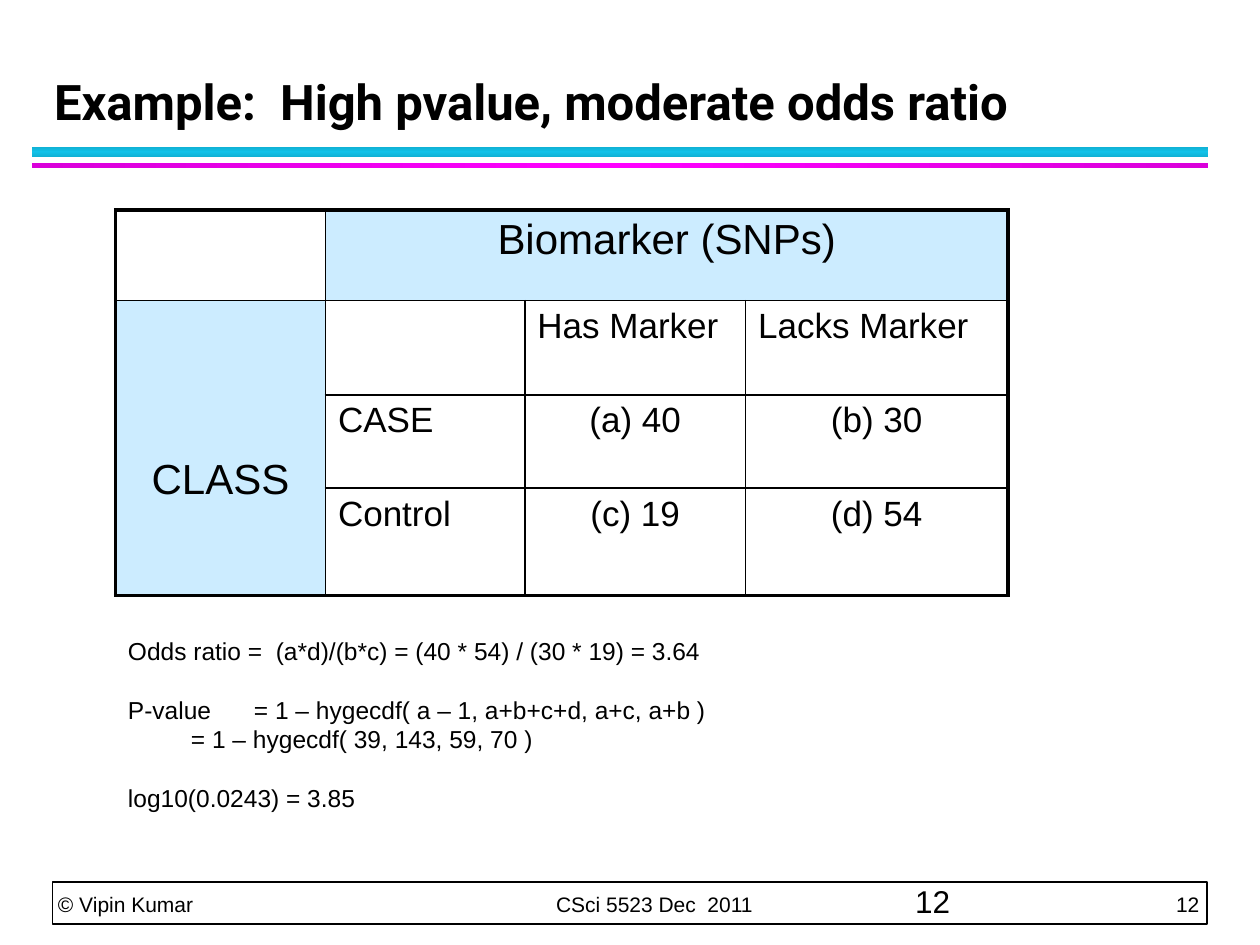
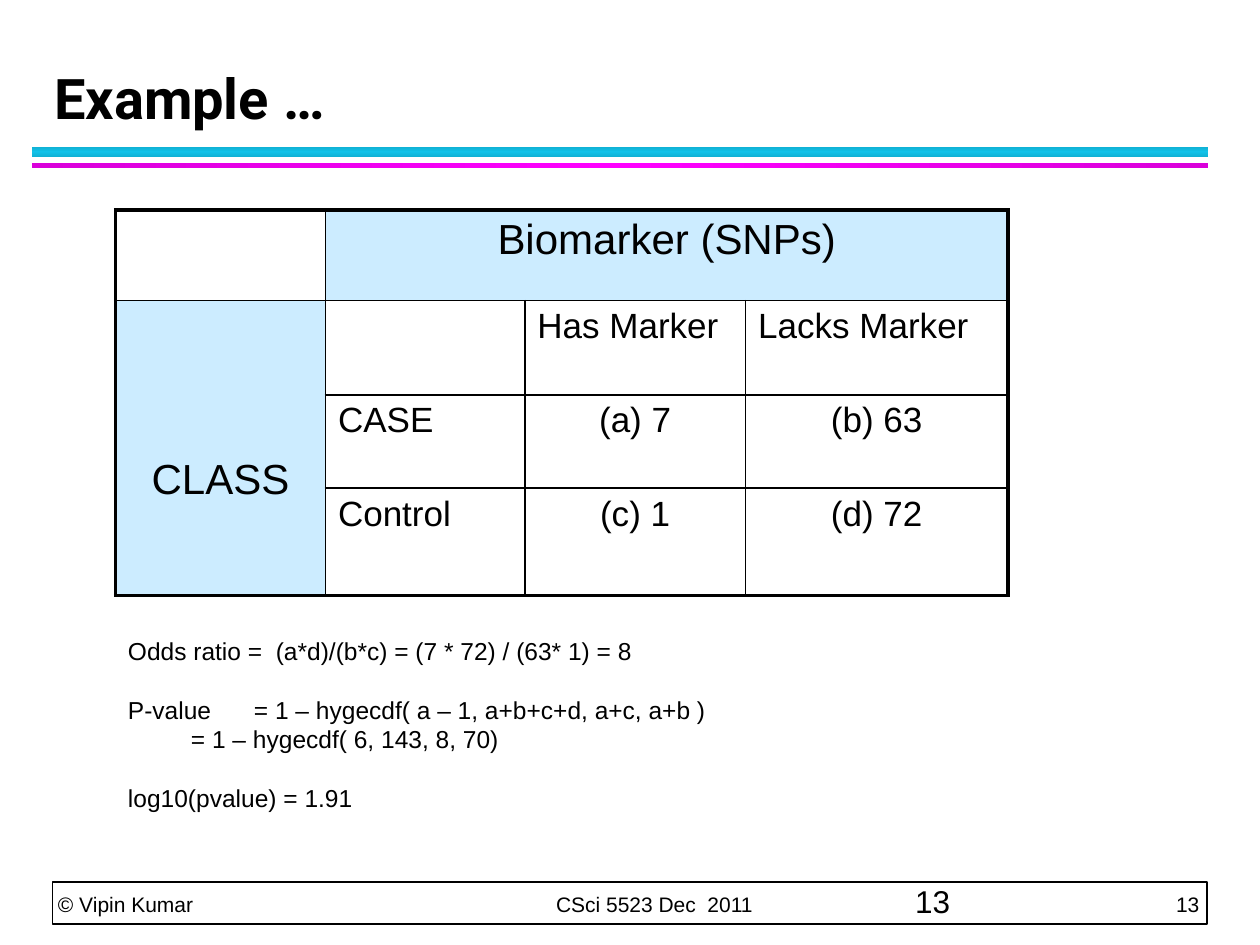
from copy import deepcopy
from dataclasses import dataclass

from pptx import Presentation
from pptx.dml.color import RGBColor
from pptx.enum.shapes import MSO_SHAPE
from pptx.enum.text import MSO_ANCHOR, PP_ALIGN
from pptx.oxml import parse_xml
from pptx.oxml.ns import nsdecls, qn
from pptx.util import Cm, Length, Pt

RECTANGLE = MSO_SHAPE.RECTANGLE
TOP, BOTTOM = MSO_ANCHOR.TOP, MSO_ANCHOR.BOTTOM
LEFT, CENTER = PP_ALIGN.LEFT, PP_ALIGN.CENTER


@dataclass(frozen=True)
class Theme:
    black: str = "000000"
    white: str = "FFFFFF"
    pale_blue: str = "CCECFF"
    body_font: str = "Arial"
    title_font: str = "Roboto"
    footer_size: int = 12
    formula_size: int = 14
    number_size: int = 18
    cell_size: int = 20
    heading_size: int = 24
    inner_border: float = 1
    outer_border: float = 2.25


THEME = Theme()


@dataclass(frozen=True)
class Frame:
    """Left, top, width and height in centimetres."""
    left: float
    top: float
    width: float
    height: float

    def lengths(self) -> tuple[Length, ...]:
        return Cm(self.left), Cm(self.top), Cm(self.width), Cm(self.height)


@dataclass(frozen=True)
class TextStyle:
    size: float
    font: str = THEME.body_font
    bold: bool = False
    align: PP_ALIGN = LEFT
    line_spacing: float | None = None


@dataclass(frozen=True)
class Band:
    frame: Frame
    edge: str
    middle: str
    angle: int


@dataclass(frozen=True)
class Area:
    """A block of table cells, last row and column included."""
    top: int
    left: int
    bottom: int
    right: int

    def holds(self, row: int, column: int) -> bool:
        return self.top <= row <= self.bottom and self.left <= column <= self.right


@dataclass(frozen=True)
class Example:
    number: int
    title: str
    title_size: int
    counts: tuple[int, int, int, int]
    odds_ratio: str
    p_value: str
    logarithm: str


EXAMPLES = [
    Example(12, "Example:  High pvalue, moderate odds ratio", 28, (40, 30, 19, 54),
            "(40 * 54) / (30 * 19) = 3.64", "( 39, 143, 59, 70 )", "log10(0.0243) = 3.85"),
    Example(13, "Example …", 32, (7, 63, 1, 72),
            "(7 * 72) / (63* 1) = 8", "( 6, 143, 8, 70)", "log10(pvalue) = 1.91"),
]

BANDS = [
    Band(Frame(0.64, 2.96, 23.71, 0.21), "10B0D3", "12C2E9", 90),
    Band(Frame(0.64, 3.28, 23.71, 0.11), "DA00DA", "FF00FF", 0),
]
TITLE_FRAME = Frame(0.84, 0.64, 23.71, 2.12)
FOOTER_FRAME = Frame(1.06, 17.78, 23.28, 0.85)
FOOTER_TEXT_FRAME = Frame(1.17, 17.78, 23.1, 0.71)
FOOTER_TABS = [(10.04, "l"), (23.01, "r")]
NUMBER_FRAME = Frame(18.2, 17.65, 5.93, 1.02)
FORMULA_FRAME = Frame(2.33, 12.7, 18.84, 3.84)
FORMULA_LINE = 16.8

TABLE_FRAME = Frame(2.33, 4.23, 17.99, 7.77)
COLUMN_WIDTHS = [4.23, 4.02, 4.45, 5.29]
ROW_HEIGHTS = [1.83, 1.9, 1.88, 2.16]
MARKER_HEADING = Area(0, 1, 0, 3)
CLASS_HEADING = Area(1, 0, 3, 0)
CLASS_MARGIN = 3.15


def color(value: str) -> RGBColor:
    return RGBColor.from_string(value)


def style_paragraph(para, text: str, style: TextStyle) -> None:
    para.text = text
    para.alignment = style.align
    if style.line_spacing:
        para.line_spacing = Pt(style.line_spacing)
    para.font.name = style.font
    para.font.size = Pt(style.size)
    para.font.bold = style.bold
    para.font.color.rgb = color(THEME.black)


def add_text(page, frame: Frame, lines: list[str], style: TextStyle,
             anchor: MSO_ANCHOR = TOP, inset: bool = True):
    box = page.shapes.add_textbox(*frame.lengths())
    text_frame = box.text_frame
    text_frame.word_wrap = True
    text_frame.vertical_anchor = anchor
    if not inset:
        text_frame.margin_left = text_frame.margin_right = 0
        text_frame.margin_top = text_frame.margin_bottom = 0
    for index, line in enumerate(lines):
        para = text_frame.add_paragraph() if index else text_frame.paragraphs[0]
        style_paragraph(para, line, style)
    return text_frame


def add_rectangle(page, frame: Frame):
    shape = page.shapes.add_shape(RECTANGLE, *frame.lengths())
    shape.shadow.inherit = False
    return shape


def add_band(page, band: Band) -> None:
    shape = add_rectangle(page, band.frame)
    shape.line.fill.background()
    fill = shape.fill
    fill.gradient()
    fill.gradient_angle = band.angle
    stop_list = shape._element.spPr.find(".//" + qn("a:gsLst"))
    stop_list.append(deepcopy(stop_list[0]))
    values = [(0, band.edge), (0.5, band.middle), (1, band.edge)]
    for stop, (position, value) in zip(fill.gradient_stops, values):
        stop.position = position
        stop.color.rgb = color(value)


def add_footer(page, number: int) -> None:
    frame = add_rectangle(page, FOOTER_FRAME)
    frame.fill.solid()
    frame.fill.fore_color.rgb = color(THEME.white)
    frame.line.color.rgb = color(THEME.black)
    frame.line.width = Pt(1)
    text = f"© Vipin Kumar\tCSci 5523 Dec  2011\t{number}"
    style = TextStyle(THEME.footer_size, line_spacing=20)
    text_frame = add_text(page, FOOTER_TEXT_FRAME, [text], style, BOTTOM, inset=False)
    stops = "".join(f'<a:tab pos="{Cm(place)}" algn="{side}"/>' for place, side in FOOTER_TABS)
    tab_list = parse_xml(f'<a:tabLst {nsdecls("a")}>{stops}</a:tabLst>')
    properties = text_frame.paragraphs[0]._p.get_or_add_pPr()
    properties.insert_element_before(tab_list, "a:defRPr", "a:extLst")


def set_borders(cell, row: int, column: int) -> None:
    """Draw a heavy outer frame and thin inner lines, none inside a merged area."""
    own = Area(row, column, row, column)
    area = next((a for a in (MARKER_HEADING, CLASS_HEADING) if a.holds(row, column)), own)
    edges = [
        ("lnL", column == area.left, area.left == 0),
        ("lnR", column == area.right, area.right == len(COLUMN_WIDTHS) - 1),
        ("lnT", row == area.top, area.top == 0),
        ("lnB", row == area.bottom, area.bottom == len(ROW_HEIGHTS) - 1),
    ]
    properties = cell._tc.get_or_add_tcPr()
    for tag, on_edge, is_outer in edges:
        if on_edge or cell.is_merge_origin:
            width = Pt(THEME.outer_border if is_outer else THEME.inner_border)
            properties.append(parse_xml(
                f'<a:{tag} {nsdecls("a")} w="{width}"><a:solidFill>'
                f'<a:srgbClr val="{THEME.black}"/></a:solidFill></a:{tag}>'))


def add_count_table(page, counts: tuple[int, int, int, int]) -> None:
    a, b, c, d = (f"({letter}) {count}" for letter, count in zip("abcd", counts))
    rows = [
        ["", "Biomarker (SNPs)", "", ""],
        ["CLASS", "", "Has Marker", "Lacks Marker"],
        ["", "CASE", a, b],
        ["", "Control", c, d],
    ]
    table = page.shapes.add_table(len(rows), len(rows[0]), *TABLE_FRAME.lengths()).table
    table.first_row = table.horz_banding = False
    for column, width in zip(table.columns, COLUMN_WIDTHS):
        column.width = Cm(width)
    for row, height in zip(table.rows, ROW_HEIGHTS):
        row.height = Cm(height)
    for area in (MARKER_HEADING, CLASS_HEADING):
        table.cell(area.top, area.left).merge(table.cell(area.bottom, area.right))

    for row_index, texts in enumerate(rows):
        for column_index, text in enumerate(texts):
            cell = table.cell(row_index, column_index)
            is_heading = cell.is_merge_origin or cell.is_spanned
            set_borders(cell, row_index, column_index)
            cell.fill.solid()
            cell.fill.fore_color.rgb = color(THEME.pale_blue if is_heading else THEME.white)
            if text:
                is_count = row_index > 1 and column_index > 1
                style = TextStyle(THEME.heading_size if is_heading else THEME.cell_size,
                                  align=CENTER if is_heading or is_count else LEFT)
                style_paragraph(cell.text_frame.paragraphs[0], text, style)
    table.cell(CLASS_HEADING.top, CLASS_HEADING.left).margin_top = Cm(CLASS_MARGIN)


def add_formulas(page, example: Example) -> None:
    lines = [
        f"Odds ratio =  (a*d)/(b*c) = {example.odds_ratio}",
        "P-value\t= 1 – hygecdf( a – 1, a+b+c+d, a+c, a+b )",
        f"\t= 1 – hygecdf{example.p_value}",
        example.logarithm,
    ]
    style = TextStyle(THEME.formula_size, line_spacing=FORMULA_LINE)
    paragraphs = add_text(page, FORMULA_FRAME, lines, style).paragraphs
    for index in (1, 3):
        paragraphs[index].space_before = Pt(FORMULA_LINE)


def add_example(deck, example: Example) -> None:
    page = deck.slides.add_slide(deck.slide_layouts[6])
    # Shared frame
    add_footer(page, example.number)
    for band in BANDS:
        add_band(page, band)
    title_style = TextStyle(example.title_size, THEME.title_font, bold=True, line_spacing=36)
    add_text(page, TITLE_FRAME, [example.title], title_style, BOTTOM)
    # Content
    add_count_table(page, example.counts)
    add_formulas(page, example)
    add_text(page, NUMBER_FRAME, [str(example.number)], TextStyle(THEME.number_size))


def main() -> None:
    deck = Presentation()
    deck.slide_width, deck.slide_height = Cm(25.4), Cm(19.05)
    for example in EXAMPLES:
        add_example(deck, example)
    deck.save("out.pptx")


if __name__ == "__main__":
    main()
